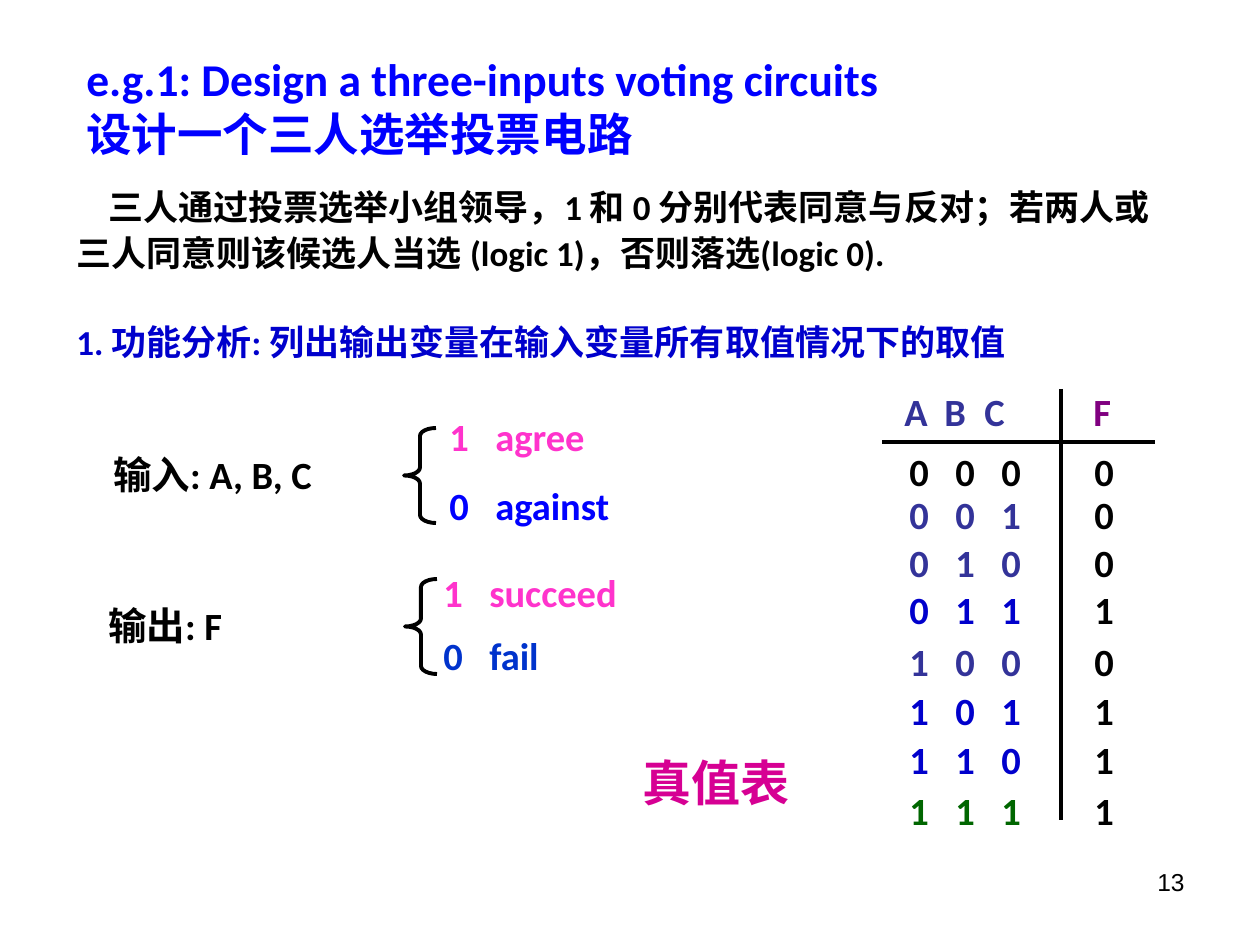
from dataclasses import dataclass

from lxml.etree import SubElement
from pptx import Presentation
from pptx.dml.color import RGBColor
from pptx.enum.shapes import MSO_CONNECTOR as Connector, MSO_SHAPE as Preset
from pptx.enum.text import MSO_AUTO_SIZE as AutoSize, PP_ALIGN as Align
from pptx.oxml.ns import qn
from pptx.util import Pt

EMU_PER_PX = 914400 / 126


@dataclass(frozen=True)
class Theme:
    font: str = "Calibri"
    number_font: str = "Arial"
    black: str = "000000"
    blue: str = "0000FF"
    navy: str = "0000CC"
    royal: str = "0033CC"
    indigo: str = "333399"
    purple: str = "800080"
    pink: str = "FF33CC"
    magenta: str = "D60093"
    green: str = "006600"
    title: int = 26
    caption: int = 28
    body: int = 20
    label: int = 22
    page: int = 14
    brace_line: float = 2.25
    table_line: float = 2.5


THEME = Theme()
COLUMN_GAP = 46
ROW_HEIGHT = 59


def px(length):
    return round(length * EMU_PER_PX)


def add_text(slide, text, left, top, width, height=ROW_HEIGHT, *, color=THEME.black,
             size=THEME.label, font=THEME.font, bold=True, align=None,
             spacing=None, first_indent=0, tab_gap=0):
    box = slide.shapes.add_textbox(px(left), px(top), px(width), px(height))
    frame = box.text_frame
    frame.word_wrap = True
    frame.auto_size = AutoSize.SHAPE_TO_FIT_TEXT
    lines = text.split("\n")
    colors = color if isinstance(color, tuple) else (color,) * len(lines)
    for index, (line, line_color) in enumerate(zip(lines, colors)):
        paragraph = frame.add_paragraph() if index else frame.paragraphs[0]
        paragraph.alignment = align
        paragraph.line_spacing = spacing
        properties = paragraph._p.get_or_add_pPr()
        if first_indent:
            properties.set("indent", str(px(first_indent)))
        if tab_gap:
            tabs = SubElement(properties, qn("a:tabLst"))
            for stop in range(1, line.count("\t") + 1):
                SubElement(tabs, qn("a:tab"), pos=str(px(tab_gap * stop)), algn="l")
        run = paragraph.add_run()
        run.text = line
        run.font.name = font
        run.font.size = Pt(size)
        run.font.bold = bold
        run.font.color.rgb = RGBColor.from_string(line_color)


def add_brace(slide, left, top):
    brace = slide.shapes.add_shape(Preset.LEFT_BRACE, px(left), px(top), px(32), px(95))
    brace.shadow.inherit = False
    brace.adjustments[0] = 0.25
    brace.adjustments[1] = 0.5
    brace.fill.background()
    brace.line.color.rgb = RGBColor.from_string(THEME.black)
    brace.line.width = Pt(THEME.brace_line)


def add_rule(slide, x1, y1, x2, y2):
    rule = slide.shapes.add_connector(Connector.STRAIGHT, px(x1), px(y1), px(x2), px(y2))
    rule.line.color.rgb = RGBColor.from_string(THEME.black)
    rule.line.width = Pt(THEME.table_line)
    SubElement(rule._element.spPr, qn("a:effectLst"))


def add_variables(slide):
    add_text(slide, "输入: A, B, C", 101, 445, 280)
    add_brace(slide, 404, 428)
    add_text(slide, "1\tagree", 437, 407, 195, color=THEME.pink, tab_gap=COLUMN_GAP)
    add_text(slide, "0\tagainst", 437, 476, 258, color=THEME.blue, tab_gap=COLUMN_GAP)
    add_text(slide, "输出: F", 96, 596, 222)
    add_brace(slide, 405, 579)
    add_text(slide, "1\tsucceed\n0\tfail", 431, 547, 262, 137,
             color=(THEME.pink, THEME.royal), spacing=1.35, tab_gap=COLUMN_GAP)


def add_truth_table(slide):
    add_rule(slide, 882, 442, 1155, 442)
    add_rule(slide, 1061, 389, 1061, 820)
    add_text(slide, "A\tB\tC", 892, 382, 147, color=THEME.indigo, tab_gap=40)
    add_text(slide, "F", 1081, 382, 63, color=THEME.purple)
    row_tops = (442, 485, 533, 580, 632, 681, 730, 781)
    row_colors = (THEME.black, THEME.indigo, THEME.indigo, THEME.navy,
                  THEME.indigo, THEME.navy, THEME.navy, THEME.green)
    for number, (top, color) in enumerate(zip(row_tops, row_colors)):
        votes = f"{number:03b}"
        majority = int(votes.count("1") >= 2)
        add_text(slide, "\t".join(votes), 897, top, 158, color=color, tab_gap=COLUMN_GAP)
        add_text(slide, str(majority), 1082, top, 52)


def main():
    deck = Presentation()
    deck.slide_width, deck.slide_height = px(1260), px(945)
    slide = deck.slides.add_slide(deck.slide_layouts[6])
    add_text(slide, "e.g.1: Design a three-inputs voting circuits\n设计一个三人选举投票电路",
             74, 45, 1131, 122, color=THEME.blue, size=THEME.title)
    add_text(slide, "三人通过投票选举小组领导，1 和 0 分别代表同意与反对；若两人或三人同意则该候选人当选 "
             "(logic 1)，否则落选(logic 0).",
             64, 175, 1131, 105, size=THEME.body, spacing=1.1, first_indent=32)
    add_text(slide, "1. 功能分析: 列出输出变量在输入变量所有取值情况下的取值",
             64, 314, 998, 54, color=THEME.navy, size=THEME.body)
    add_variables(slide)
    add_truth_table(slide)
    add_text(slide, "真值表", 630, 746, 189, 72, color=THEME.magenta, size=THEME.caption)
    add_text(slide, "13", 903, 861, 294, 66, size=THEME.page,
             font=THEME.number_font, bold=False, align=Align.RIGHT)
    deck.save("out.pptx")


if __name__ == "__main__":
    main()
